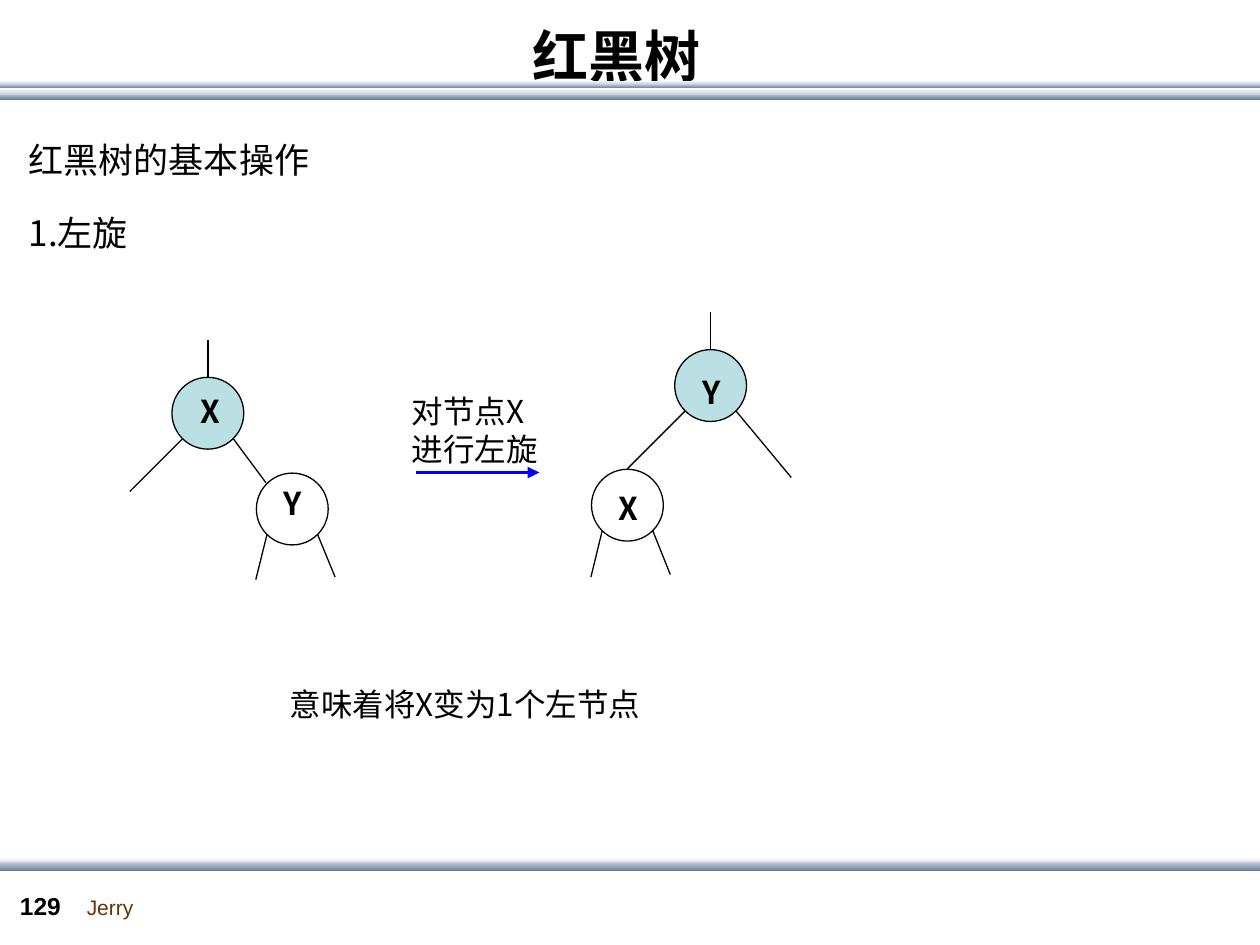
"""Build the slide on left rotation in a red-black tree."""
from dataclasses import dataclass

from lxml.etree import SubElement
from pptx import Presentation
from pptx.dml.color import RGBColor
from pptx.enum.shapes import MSO_CONNECTOR, MSO_SHAPE
from pptx.enum.text import MSO_ANCHOR, MSO_AUTO_SIZE, PP_ALIGN
from pptx.oxml.ns import qn
from pptx.util import Inches, Pt


@dataclass(frozen=True)
class Theme:
    black: str = "000000"
    white: str = "FFFFFF"
    silver: str = "C8D1DA"
    slate: str = "6A839C"
    node: str = "BBE0E3"
    arrow: str = "0000FF"
    author: str = "663300"
    font: str = "Noto Sans CJK SC"
    footer_font: str = "Arial"
    title: int = 32
    heading: int = 20
    body: int = 18
    number: int = 14
    small: int = 12
    thin: float = 0.75
    thick: float = 2.25


THEME = Theme()
SLIDE_WIDTH, SLIDE_HEIGHT = 10, 7.5
RADIUS = 0.285
DIAGONAL = 0.2
STEM = 0.3

TITLE = ("红黑树", (0.39, -0.19, 9, 1.25))
TEXTS = [
    ("红黑树的基本操作", (0.13, 1.05, 2.46, 0.44), {"size": THEME.heading}),
    ("1.左旋", (0.13, 1.63, 1.23, 0.44), {"size": THEME.heading}),
    ("对节点X进行左旋", (3.17, 3.06, 1.23, 0.71), {}),
    ("意味着将X变为1个左节点", (2.2, 5.39, 3.05, 0.4), {}),
    ("Jerry", (0.59, 7.05, 0.58, 0.3),
     {"size": THEME.small, "font": THEME.footer_font, "color": THEME.author, "wrap": False}),
    ("129", (0.06, 7.02, 0.55, 0.33),
     {"size": THEME.number, "font": THEME.footer_font, "bold": True}),
]
DARK_BAND = (THEME.silver, THEME.slate)
LIGHT_BAND = (THEME.white, THEME.silver)
BANDS = [
    (0.74, 0.05, DARK_BAND),
    (0.67, 0.03, DARK_BAND),
    (0.7, 0.05, LIGHT_BAND),
    (0.64, 0.03, LIGHT_BAND),
    (6.81, 0.05, LIGHT_BAND),
    (6.84, 0.07, DARK_BAND),
]
NODES = [
    {"label": "X", "center": (1.65, 3.28), "label_at": (1.49, 3.06), "root": True,
     "left_end": (1.03, 3.9), "right_end": (2.11, 3.83)},
    {"label": "Y", "center": (2.32, 4.04), "label_at": (2.15, 3.79), "root": False,
     "left_end": (2.03, 4.6), "right_end": (2.66, 4.58)},
    {"label": "Y", "center": (5.64, 3.06), "label_at": (5.48, 2.91), "root": True,
     "left_end": (4.98, 3.72), "right_end": (6.28, 3.79)},
    {"label": "X", "center": (4.98, 4.01), "label_at": (4.81, 3.83), "root": False,
     "left_end": (4.69, 4.58), "right_end": (5.32, 4.56)},
]
ROTATION_ARROW = ((3.3, 3.75), (4.28, 3.75))


def write_text(shape, text, size=THEME.body, font=THEME.font, color=THEME.black,
               bold=False, wrap=True, align=PP_ALIGN.LEFT, anchor=MSO_ANCHOR.TOP):
    frame = shape.text_frame
    frame.word_wrap = wrap
    frame.auto_size = MSO_AUTO_SIZE.NONE
    frame.vertical_anchor = anchor
    paragraph = frame.paragraphs[0]
    paragraph.alignment = align
    run = paragraph.add_run()
    run.text = text
    run.font.size = Pt(size)
    run.font.bold = bold
    run.font.color.rgb = RGBColor.from_string(color)
    run.font.name = font
    SubElement(run.font._element, qn("a:ea"), typeface=font)


def add_text(slide, text, box, **style):
    write_text(slide.shapes.add_textbox(*map(Inches, box)), text, **style)


def add_title(slide, text, box):
    title = slide.shapes.title
    title.left, title.top, title.width, title.height = map(Inches, box)
    write_text(title, text, size=THEME.title, bold=True,
               align=PP_ALIGN.CENTER, anchor=MSO_ANCHOR.MIDDLE)


def add_band(slide, top, height, colors):
    band = slide.shapes.add_shape(
        MSO_SHAPE.RECTANGLE, 0, Inches(top), Inches(SLIDE_WIDTH), Inches(height))
    band.shadow.inherit = False
    band.line.fill.background()
    band.fill.gradient()
    band.fill.gradient_angle = 270
    for stop, color in zip(band.fill.gradient_stops, colors):
        stop.color.rgb = RGBColor.from_string(color)


def add_line(slide, start, end, color=THEME.black, width=THEME.thin, arrow=False):
    line = slide.shapes.add_connector(MSO_CONNECTOR.STRAIGHT, *map(Inches, (*start, *end)))
    line.line.color.rgb = RGBColor.from_string(color)
    line.line.width = Pt(width)
    if arrow:
        SubElement(line.line._get_or_add_ln(), qn("a:tailEnd"), type="triangle")
    SubElement(line._element.spPr, qn("a:effectLst"))


def add_node(slide, label, center, label_at, root, left_end, right_end):
    x, y = center
    circle = slide.shapes.add_shape(
        MSO_SHAPE.OVAL, *map(Inches, (x - RADIUS, y - RADIUS, 2 * RADIUS, 2 * RADIUS)))
    circle.shadow.inherit = False
    circle.line.color.rgb = RGBColor.from_string(THEME.black)
    circle.line.width = Pt(THEME.thin)
    if root:
        circle.fill.solid()
        circle.fill.fore_color.rgb = RGBColor.from_string(THEME.node)
        add_line(slide, (x, y - RADIUS - STEM), (x, y - RADIUS))
    else:
        circle.fill.background()
    add_line(slide, (x - DIAGONAL, y + DIAGONAL), left_end)
    add_line(slide, (x + DIAGONAL, y + DIAGONAL), right_end)
    add_text(slide, label, (*label_at, 0.33, 0.4), bold=True)


def main():
    presentation = Presentation()
    presentation.slide_width = Inches(SLIDE_WIDTH)
    presentation.slide_height = Inches(SLIDE_HEIGHT)
    slide = presentation.slides.add_slide(presentation.slide_layouts[5])
    for band in BANDS:
        add_band(slide, *band)
    add_title(slide, *TITLE)
    for text, box, style in TEXTS:
        add_text(slide, text, box, **style)
    for node in NODES:
        add_node(slide, **node)
    add_line(slide, *ROTATION_ARROW, color=THEME.arrow, width=THEME.thick, arrow=True)
    presentation.save("out.pptx")


if __name__ == "__main__":
    main()
